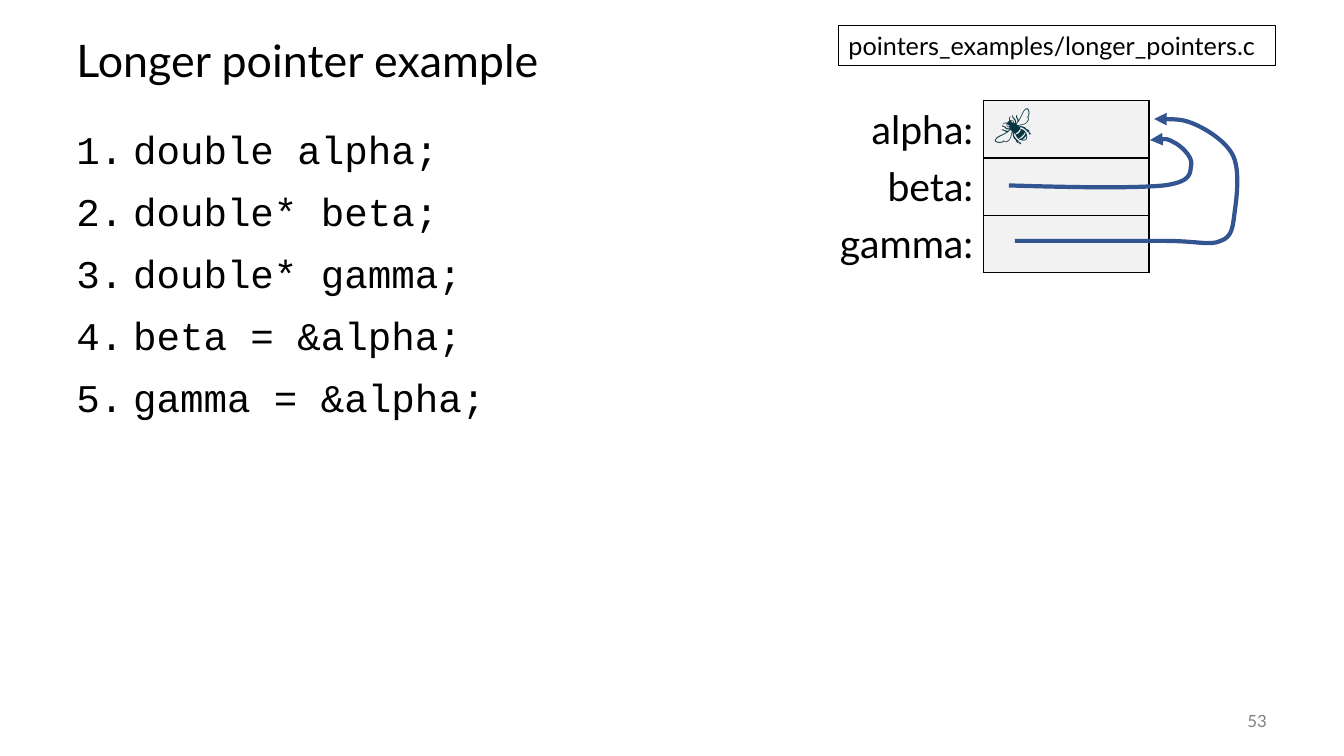
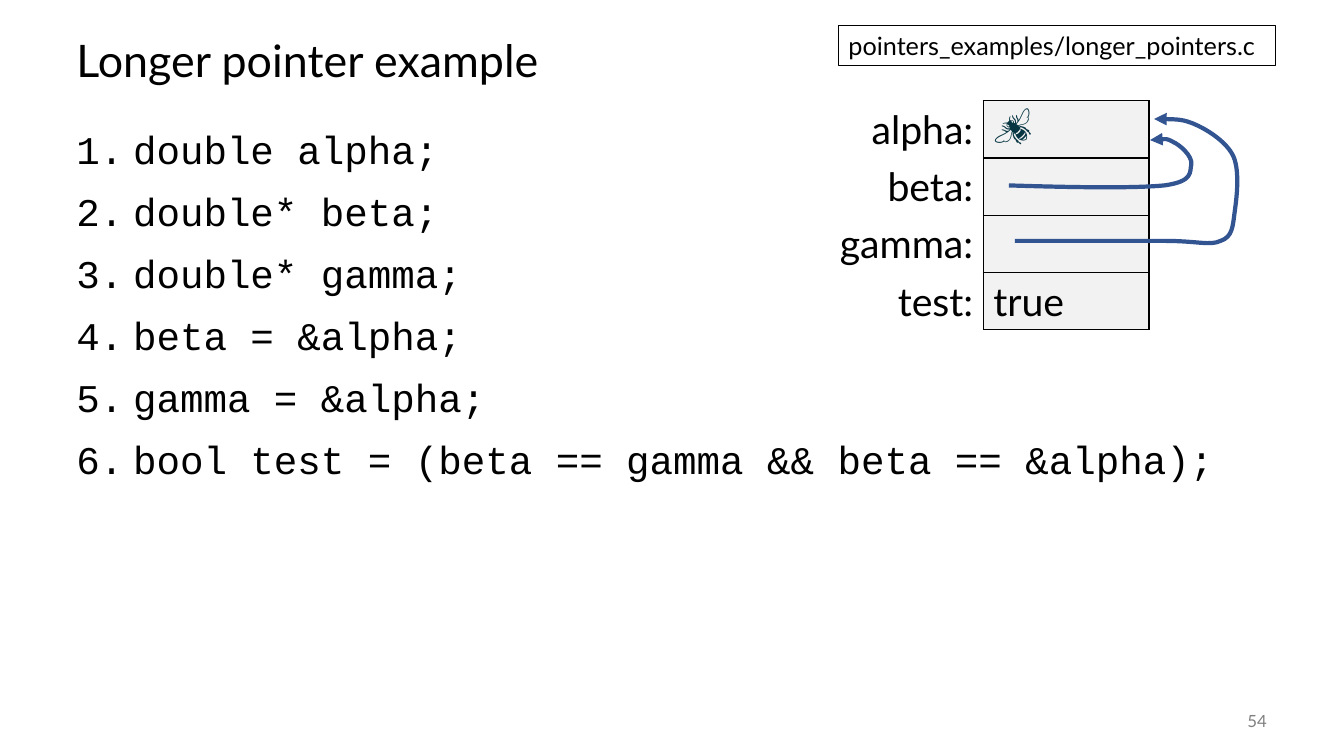
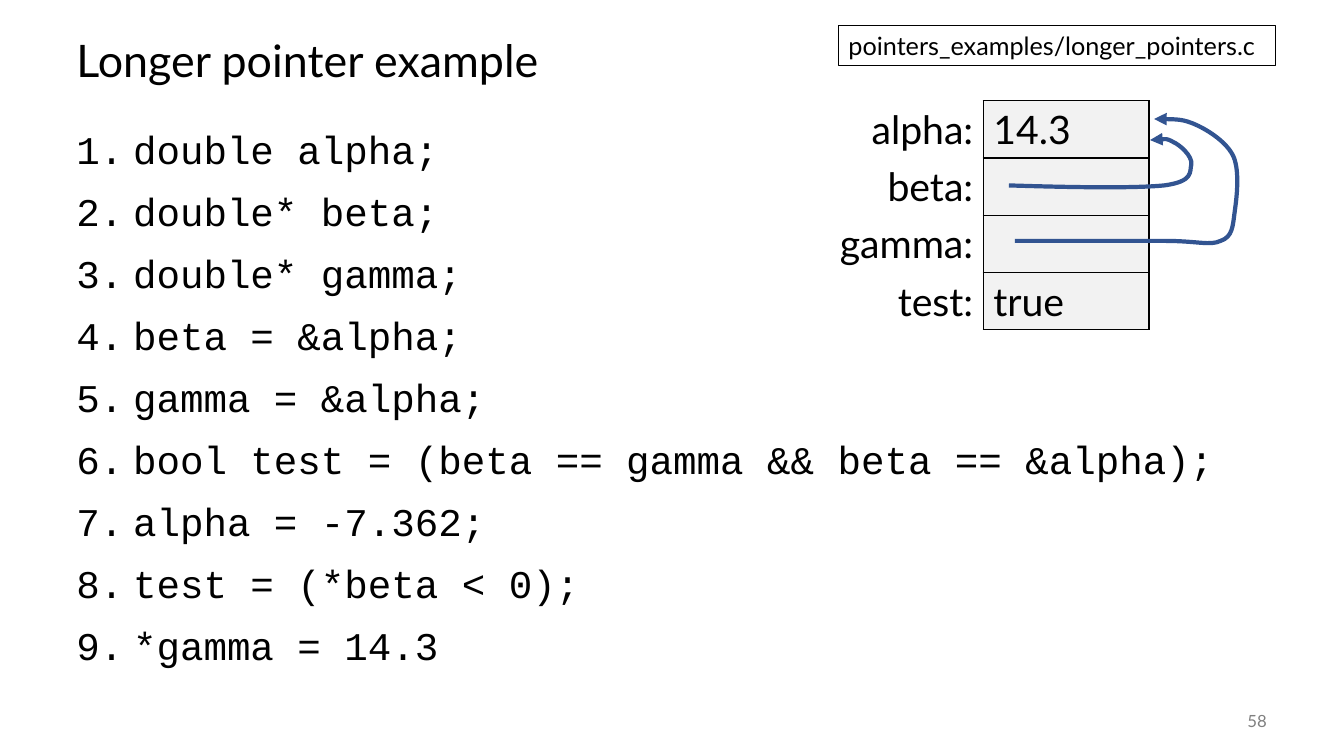
"""Build three slides that step through a longer pointer example."""
from lxml import etree
from pptx import Presentation
from pptx.dml.color import RGBColor
from pptx.enum import shapes, text
from pptx.oxml.ns import qn
from pptx.util import Pt

COLORS = {"ink": "000000", "bee": "073642", "cell": "F2F2F2", "arrow": "325491", "page": "808080"}
TITLE = {"name": "Lato", "size": Pt(32), "color": "ink"}
CODE = {"name": "Courier New", "size": Pt(28), "color": "ink"}
VALUE = {"name": "Lato", "size": Pt(28), "color": "ink"}
BEE = {"name": "Courier New", "size": Pt(28), "color": "bee"}
FILE = {"name": "Lato", "size": Pt(18), "color": "ink"}
PAGE = {"name": "Lato", "size": Pt(12), "color": "page"}
RIGHT = {"alignment": text.PP_ALIGN.RIGHT}

STATEMENTS = [
    "double alpha;",
    "double* beta;",
    "double* gamma;",
    "beta = &alpha;",
    "gamma = &alpha;",
    "bool test = (beta == gamma && beta == &alpha);",
    "alpha = -7.362;",
    "test = (*beta < 0);",
    "*gamma = 14.3",
]
STEPS = [
    (53, 5, {"alpha:": "🐝", "beta:": "", "gamma:": ""}),
    (54, 6, {"alpha:": "🐝", "beta:": "", "gamma:": "", "test:": "true"}),
    (58, 9, {"alpha:": "14.3", "beta:": "", "gamma:": "", "test:": "true"}),
]
BETA_ARROW = [
    (720.7, 132.5), (765.4, 133.9), (810, 134.6), (831.6, 132.5),
    (853.2, 129.6), (849.6, 122.4), (851, 117.4),
    (851.8, 111.6), (843.1, 103.7), (838.1, 101.5),
    (833, 98.6), (827.3, 99.4), (821.5, 100.1),
]
GAMMA_ARROW = [
    (725, 172.1), (760, 172.1), (796, 172.1), (831.6, 172.1),
    (856.1, 172.1), (864, 175.7), (871.9, 172.1),
    (880.6, 169.2), (880.6, 161.3), (882, 151.2),
    (883.4, 141.1), (885.6, 123.1), (881.3, 112.3),
    (877, 102.2), (864, 93.6), (854.6, 89.3),
    (845.3, 85), (835.2, 85), (824.4, 85),
]


def write(paragraph, words, font, layout):
    """Fill a paragraph with one formatted run."""
    for key, value in layout.items():
        setattr(paragraph, key, value)
    run = paragraph.add_run()
    run.text = words
    for key, value in font.items():
        if key == "color":
            run.font.color.rgb = RGBColor.from_string(COLORS[value])
        else:
            setattr(run.font, key, value)


def add_box(slide, left, top, width, height, anchor):
    """Add a wrapping text box and return its text frame."""
    frame = slide.shapes.add_textbox(Pt(left), Pt(top), Pt(width), Pt(height)).text_frame
    frame.word_wrap = True
    frame.vertical_anchor = anchor
    return frame


deck = Presentation()
deck.slide_width, deck.slide_height = Pt(960), Pt(540)

for page, line_count, variables in STEPS:
    slide = deck.slides.add_slide(deck.slide_layouts[6])

    title = add_box(slide, 47.5, 18, 864, 54, text.MSO_ANCHOR.MIDDLE)
    write(title.paragraphs[0], "Longer pointer example", TITLE, {"line_spacing": 0.9})

    code = add_box(slide, 47.5, 90, 864, 396, text.MSO_ANCHOR.TOP)
    for index, statement in enumerate(STATEMENTS[:line_count]):
        line = code.add_paragraph() if index else code.paragraphs[0]
        props = line._p.get_or_add_pPr()
        props.set("marL", str(Pt(40.5)))
        props.set("indent", str(Pt(-40.5)))
        etree.SubElement(props, qn("a:buFont"), typeface="Courier New")
        etree.SubElement(props, qn("a:buAutoNum"), type="arabicPeriod")
        write(line, statement, CODE, {"line_spacing": 0.9, "space_before": Pt(14 if index else 0)})

    number = add_box(slide, 840, 500.5, 72, 28.8, text.MSO_ANCHOR.MIDDLE)
    write(number.paragraphs[0], str(page), PAGE, RIGHT)

    memory = slide.shapes.add_table(
        len(variables), 2, Pt(584), Pt(72), Pt(236.8), Pt(40.8 * len(variables))
    ).table
    memory.first_row = memory.horz_banding = False
    for row, (label, value) in enumerate(variables.items()):
        name_cell, value_cell = memory.cell(row, 0), memory.cell(row, 1)
        name_cell.fill.background()
        value_cell.fill.solid()
        value_cell.fill.fore_color.rgb = RGBColor.from_string(COLORS["cell"])
        write(name_cell.text_frame.paragraphs[0], label, VALUE, RIGHT)
        if value:
            write(value_cell.text_frame.paragraphs[0], value, BEE if value == "🐝" else VALUE, {})
        for cell, sides in ((name_cell, ["R"]), (value_cell, "LRTB")):
            props = cell._tc.get_or_add_tcPr()
            for position, side in enumerate(sides):
                border = etree.Element(qn(f"a:ln{side}"), w=str(Pt(1)))
                ink = etree.SubElement(border, qn("a:solidFill"))
                etree.SubElement(ink, qn("a:srgbClr"), val=COLORS["ink"])
                props.insert(position, border)

    for points in (BETA_ARROW, GAMMA_ARROW):
        start, *rest = [(Pt(x), Pt(y)) for x, y in points]
        builder = slide.shapes.build_freeform(*start, scale=1.0)
        builder.add_line_segments(rest, close=False)
        arrow = builder.convert_to_shape()
        arrow.shadow.inherit = False
        arrow.fill.background()
        arrow.line.color.rgb = RGBColor.from_string(COLORS["arrow"])
        arrow.line.width = Pt(3)
        etree.SubElement(arrow.line._get_or_add_ln(), qn("a:tailEnd"), type="triangle")
        segments = list(arrow._element.iter(qn("a:lnTo")))
        for first in range(0, len(segments), 3):
            curve = etree.SubElement(segments[first].getparent(), qn("a:cubicBezTo"))
            for segment in segments[first:first + 3]:
                curve.append(segment[0])
                segment.getparent().remove(segment)

    source_file = slide.shapes.add_shape(
        shapes.MSO_SHAPE.RECTANGLE, Pt(599), Pt(18), Pt(312.5), Pt(28.8)
    )
    source_file.shadow.inherit = False
    source_file.fill.background()
    source_file.line.color.rgb = RGBColor.from_string(COLORS["ink"])
    source_file.line.width = Pt(0.75)
    source_file.text_frame.word_wrap = True
    write(source_file.text_frame.paragraphs[0], "pointers_examples/longer_pointers.c", FILE,
          {"alignment": text.PP_ALIGN.LEFT})

deck.save("out.pptx")
